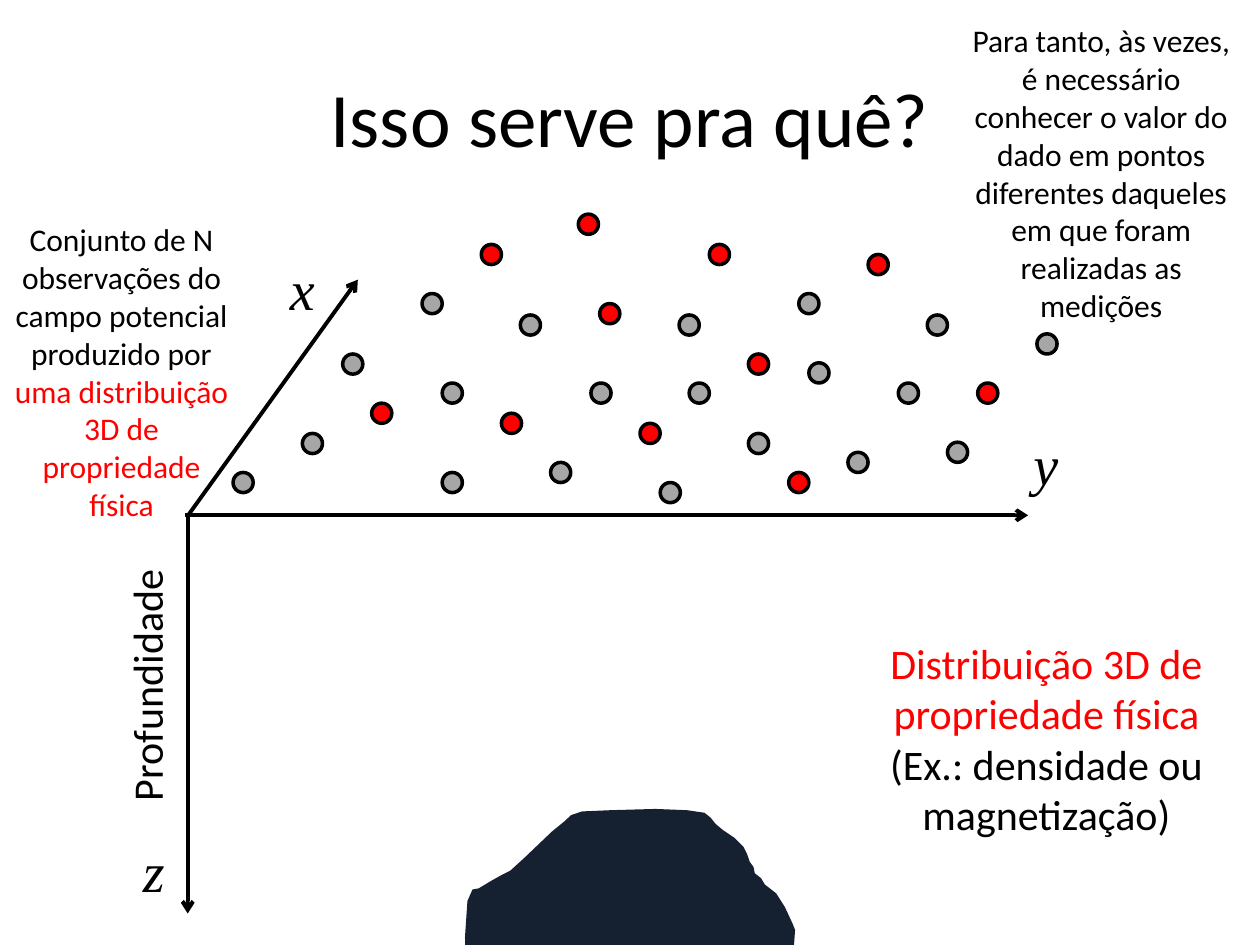
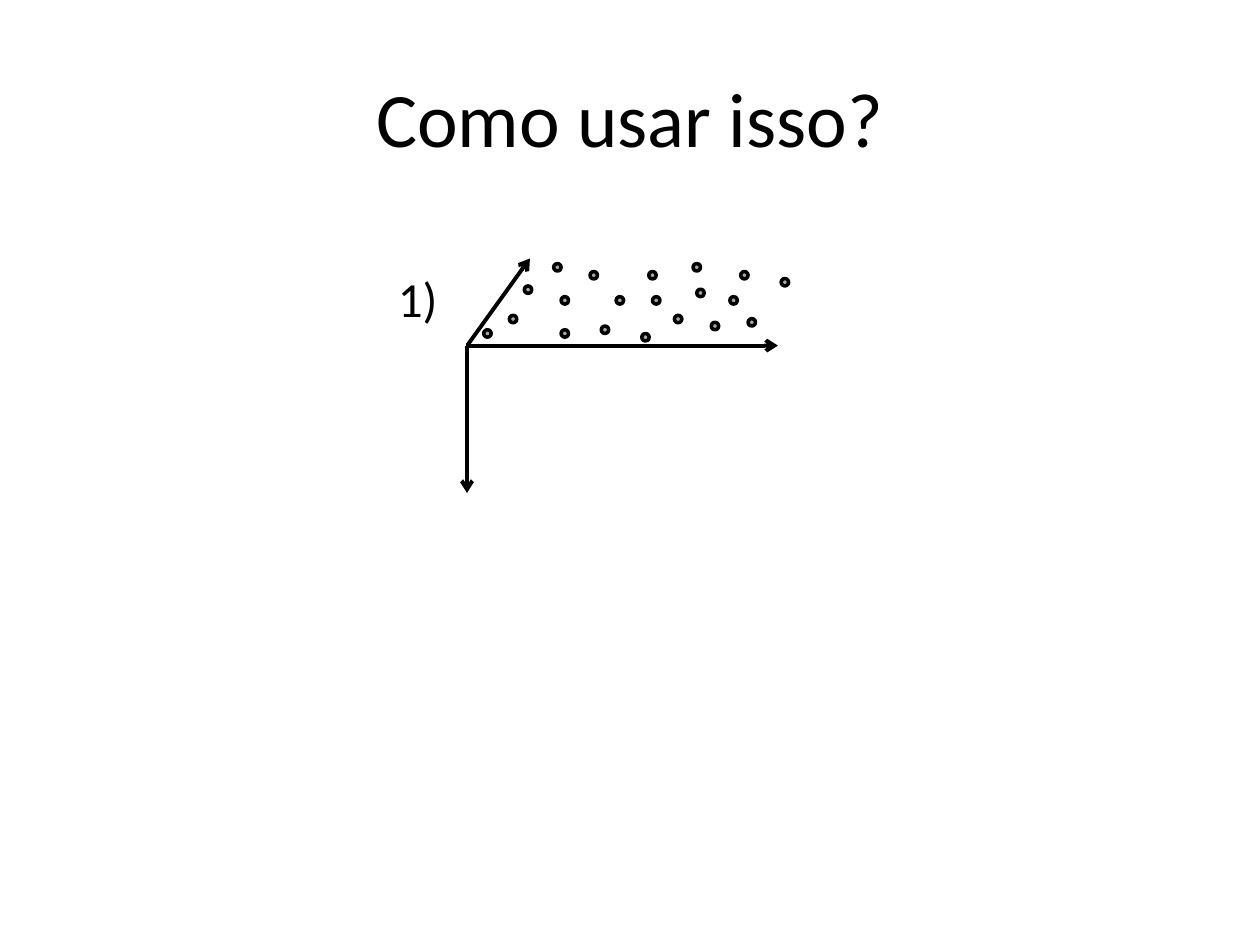
from lxml import etree
from pptx import Presentation
from pptx import util as u
from pptx.dml.color import RGBColor
from pptx.enum import shapes, text
from pptx.oxml.ns import qn

BLACK = RGBColor(0x00, 0x00, 0x00)
RED = RGBColor(0xFF, 0x00, 0x00)
GRAY = RGBColor(0xA6, 0xA6, 0xA6)
NAVY = RGBColor(0x15, 0x20, 0x30)
SANS = "Calibri"
SERIF = "Times New Roman"

TITLES = ["Isso serve pra quê?", "Como usar isso?"]
TITLE_BOX = (0.5, 0.3, 9, 1.25)

AXES = [
    ((1.49, 4.1), (1.49, 7.25)),
    ((1.47, 4.09), (8.16, 4.09)),
    ((1.5, 4.08), (2.84, 2.22)),
]
AXIS_NAMES = [("z", 0.75, 6.59), ("x", 1.93, 1.97), ("y", 7.83, 3.36)]

DOT = 0.16
MEASURED = [
    (3.35, 2.33), (4.13, 2.5), (3.51, 3.04), (2.72, 2.81), (2.4, 3.44),
    (3.51, 3.75), (4.69, 3.04), (5.39, 2.5), (4.37, 3.67), (5.47, 3.04),
    (5.24, 3.83), (6.34, 2.33), (6.42, 2.88), (5.94, 3.44), (7.36, 2.5),
    (7.13, 3.04), (6.73, 3.59), (7.52, 3.51), (8.23, 2.65), (1.85, 3.75),
]
WANTED = [
    (4.59, 1.7), (5.94, 2.81), (3.98, 3.28), (2.95, 3.2), (5.08, 3.36),
    (4.76, 2.41), (5.63, 1.94), (6.89, 2.02), (3.82, 1.94), (7.76, 3.04),
    (6.26, 3.75),
]

BODY_OUTLINE = [
    (4.05, 6.91), (4.16, 6.81), (4.38, 6.6), (4.49, 6.51), (4.53, 6.47),
    (4.62, 6.44), (4.85, 6.43), (5.2, 6.42), (5.45, 6.43), (5.59, 6.45),
    (5.64, 6.49), (5.68, 6.54), (5.74, 6.59), (5.83, 6.65), (5.9, 6.72),
    (5.93, 6.78), (5.95, 6.84), (5.98, 6.88), (5.99, 6.93), (6.04, 6.97),
    (6.07, 7.02), (6.16, 7.09), (6.23, 7.2), (6.29, 7.33), (6.31, 7.38),
    (6.29, 7.66), (6.23, 7.81), (6.11, 7.97), (6.02, 8.05), (5.84, 8.2),
    (5.71, 8.27), (5.5, 8.38), (5.37, 8.42), (5.14, 8.57), (4.98, 8.63),
    (4.77, 8.71), (4.59, 8.69), (4.43, 8.62), (4.26, 8.54), (4.13, 8.51),
    (4.02, 8.42), (3.89, 8.26), (3.77, 8.09), (3.71, 7.96), (3.69, 7.44),
    (3.71, 7.15), (3.75, 7.06), (3.8, 7.05), (3.9, 6.99), (3.99, 6.94),
]

NOTES = [
    ((0, 1.7, 1.93, 2.52), 18, [[
        ("Conjunto de N observações do campo potencial produzido por ", BLACK),
        ("uma distribuição 3D de propriedade física", RED)]]),
    ((6.65, 5.01, 3.31, 1.72), 24, [
        [("Distribuição 3D de propriedade física", RED)],
        [("(Ex.: densidade ou magnetização)", BLACK)]]),
    ((7.6, 0.12, 2.28, 2.52), 18, [[
        ("Para tanto, às vezes, é necessário conhecer o valor do dado em "
         "pontos diferentes daqueles em que foram realizadas as medições",
         BLACK)]]),
]

FULL = (1, 0, 0)
SMALL = (0.37, 3.155, 1.23)


def place(point, view):
    scale, dx, dy = view
    return u.Inches(point[0] * scale + dx), u.Inches(point[1] * scale + dy)


def add_text(s, box, paragraphs, size, font=SANS, italic=False,
             align=text.PP_ALIGN.CENTER, wrap=True):
    sp = s.shapes.add_textbox(*map(u.Inches, box))
    tf = sp.text_frame
    tf.word_wrap = wrap
    tf.auto_size = text.MSO_AUTO_SIZE.SHAPE_TO_FIT_TEXT
    for i, runs in enumerate(paragraphs):
        p = tf.add_paragraph() if i else tf.paragraphs[0]
        p.alignment = align
        for words, color in runs:
            r = p.add_run()
            r.text = words
            r.font.size = u.Pt(size)
            r.font.name = font
            r.font.italic = italic
            r.font.color.rgb = color
    return sp


def add_axes(parent, view):
    for start, end in AXES:
        c = parent.shapes.add_connector(
            shapes.MSO_CONNECTOR.STRAIGHT, *place(start, view), *place(end, view))
        c.line.color.rgb = BLACK
        c.line.width = u.Pt(2.25)
        sp_pr = c._element.spPr
        etree.SubElement(sp_pr.find(qn("a:ln")), qn("a:tailEnd"), type="arrow")
        etree.SubElement(sp_pr, qn("a:effectLst"))


def add_dots(parent, points, color, view):
    size = u.Inches(DOT * view[0])
    for point in points:
        sp = parent.shapes.add_shape(
            shapes.MSO_SHAPE.OVAL, *place(point, view), size, size)
        sp.shadow.inherit = False
        sp.fill.solid()
        sp.fill.fore_color.rgb = color
        sp.line.color.rgb = BLACK
        sp.line.width = u.Pt(2)


def add_body(s):
    points = [place(point, FULL) for point in BODY_OUTLINE]
    fb = s.shapes.build_freeform(*points[0])
    fb.add_line_segments(points[1:], close=True)
    sp = fb.convert_to_shape()
    sp.shadow.inherit = False
    sp.fill.solid()
    sp.fill.fore_color.rgb = NAVY
    sp.line.fill.background()


def add_slide(prs, title):
    s = prs.slides.add_slide(prs.slide_layouts[6])
    tf = add_text(s, TITLE_BOX, [[(title, BLACK)]], 44).text_frame
    tf.auto_size = text.MSO_AUTO_SIZE.NONE
    tf.vertical_anchor = text.MSO_ANCHOR.MIDDLE
    return s


def main():
    prs = Presentation()
    prs.slide_width, prs.slide_height = u.Inches(10), u.Inches(7.5)

    s = add_slide(prs, TITLES[0])
    add_axes(s, FULL)
    for name, left, top in AXIS_NAMES:
        add_text(s, (left, top, 0.94, 0.64), [[(name, BLACK)]], 32, SERIF, True)
    depth = add_text(s, (-0.06, 5.19, 2.44, 0.5), [[("Profundidade", BLACK)]], 24)
    depth.rotation = 270
    add_body(s)
    add_dots(s.shapes.add_group_shape(), MEASURED, GRAY, FULL)
    for box, size, paragraphs in NOTES:
        add_text(s, box, paragraphs, size)
    add_dots(s, WANTED, RED, FULL)

    s = add_slide(prs, TITLES[1])
    group = s.shapes.add_group_shape()
    add_axes(group, SMALL)
    add_dots(group, MEASURED, GRAY, SMALL)
    add_text(s, (3.06, 2.08, 0.52, 0.57), [[("1)", BLACK)]], 28,
             align=text.PP_ALIGN.LEFT, wrap=False)

    prs.save("out.pptx")


if __name__ == "__main__":
    main()
